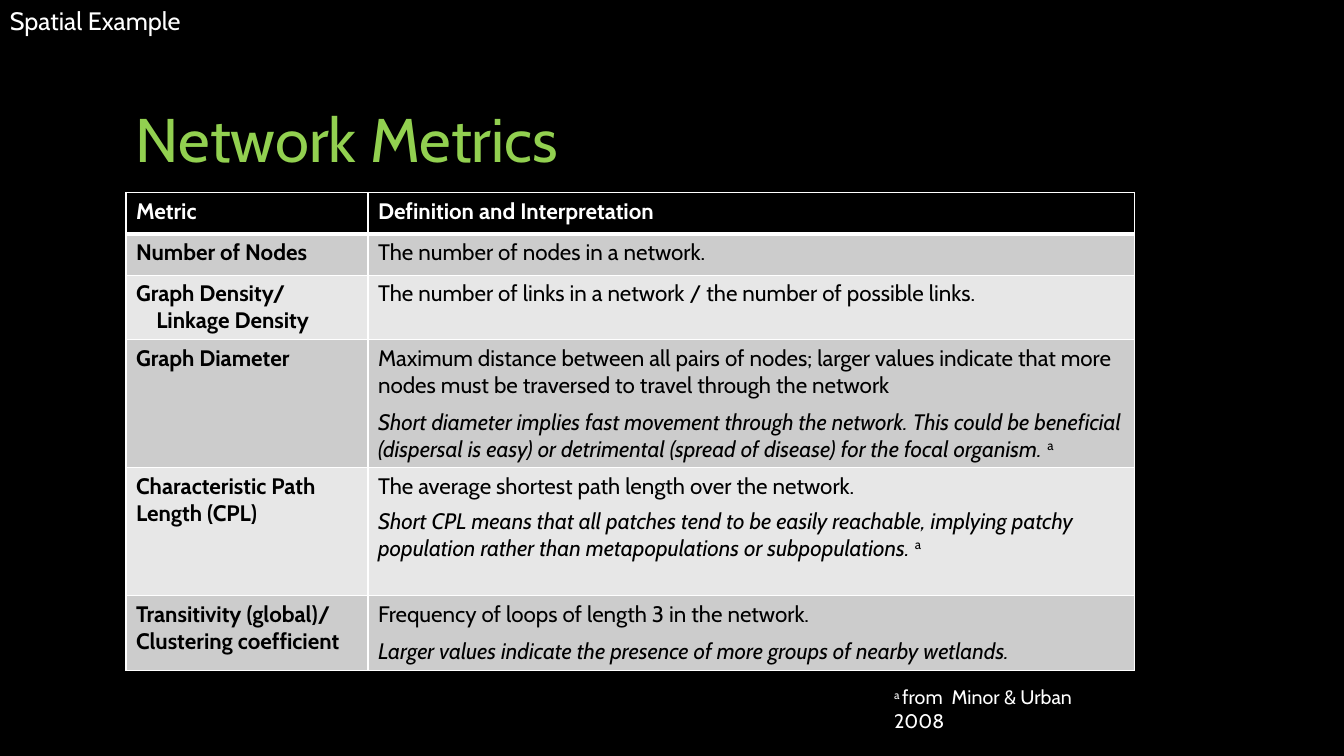
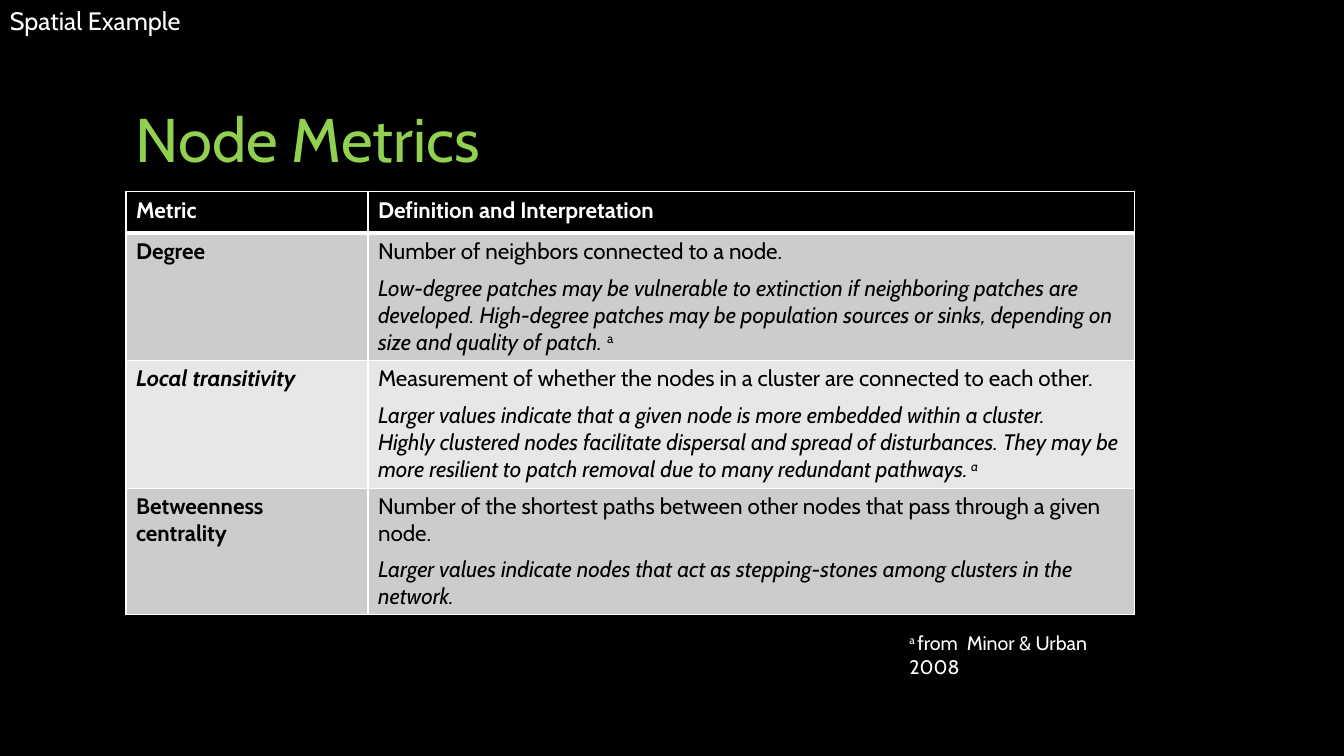
import pptx
import pptx.util
import pptx.dml.color
import pptx.enum.text
import pptx.oxml
import pptx.oxml.ns

Inches, Pt = pptx.util.Inches, pptx.util.Pt

# Content: each row has a height, name lines, definition, italic notes,
# gap after the definition, and an optional mark with its italic flag
FONT = "Cabin"
BLACK, WHITE, GREEN = "000000", "FFFFFF", "92D050"
BANDS = ("CCCCCC", "E7E7E7")
TAG = "Spatial Example"
HEADS = ("Metric", "Definition and Interpretation")
SOURCE = "from  Minor & Urban 2008"
COLS = (2.4, 7.6)
HEAD_H = 0.41
LEFT = 1.25

SLIDES = [
    dict(title="Network Metrics", top=1.91, cite=(8.77, 6.75), rows=[
        dict(high=0.41, name=["Number of Nodes"],
             text="The number of nodes in a network."),
        dict(high=0.64, name=["Graph Density/", "Linkage Density"],
             text="The number of links in a network / the number of possible links."),
        dict(high=1.27, name=["Graph Diameter"], gap=7, mark=("a", False),
             text="Maximum distance between all pairs of nodes; larger values indicate "
                  "that more nodes must be traversed to travel through the network",
             notes=["Short diameter implies fast movement through the network. This could "
                    "be beneficial (dispersal is easy) or detrimental (spread of disease) "
                    "for the focal organism. "]),
        dict(high=1.27, name=["Characteristic Path Length (CPL)"], gap=6, mark=("a", False),
             text="The average shortest path length over the network.",
             notes=["Short CPL means that all patches tend to be easily reachable, implying "
                    "patchy population rather than metapopulations or subpopulations. "]),
        dict(high=0.74, name=["Transitivity (global)/ Clustering coefficient"], gap=7,
             text="Frequency of loops of length 3 in the network.",
             notes=["Larger values indicate the presence of more groups of nearby wetlands."]),
    ]),
    dict(title="Node Metrics", top=1.9, cite=(8.92, 6.21), rows=[
        dict(high=1.26, name=["Degree"], gap=7, mark=("a", False),
             text="Number of neighbors connected to a node.",
             notes=["Low-degree patches may be vulnerable to extinction if neighboring "
                    "patches are developed. High-degree patches may be population sources "
                    "or sinks, depending on size and quality of patch. "]),
        dict(high=1.27, name=["Local transitivity"], slant=True, gap=7, mark=(" a", True),
             text="Measurement of whether the nodes in a cluster are connected to each other.",
             notes=["Larger values indicate that a given node is more embedded within a cluster.",
                    "Highly clustered nodes facilitate dispersal and spread of disturbances. "
                    "They may be",
                    "more resilient to patch removal due to many redundant pathways."]),
        dict(high=1.25, name=["Betweenness centrality"], gap=6,
             text="Number of the shortest paths between other nodes that pass through "
                  "a given node.",
             notes=["Larger values indicate nodes that act as stepping-stones among "
                    "clusters in the network."]),
    ]),
]


def color(code):
    return pptx.dml.color.RGBColor.from_string(code)


def add_run(para, text, size=16, tint=BLACK, bold=False, slant=False, raised=False):
    run = para.add_run()
    run.text = text
    font = run.font
    font.name, font.size, font.bold, font.italic = FONT, Pt(size), bold, slant
    font.color.rgb = color(tint)
    if raised:
        run._r.get_or_add_rPr().set("baseline", "30000")


def add_box(slide, left, top, wide, high):
    frame = slide.shapes.add_textbox(*map(Inches, (left, top, wide, high))).text_frame
    frame.word_wrap = True
    return frame


def next_para(frame):
    first = frame.paragraphs[0]
    return frame.add_paragraph() if first.runs else first


def style_cell(cell, fill, upper=1, lower=1):
    # Borders come before the fill in the cell properties
    props = cell._tc.get_or_add_tcPr()
    for side, width in zip("LRTB", (1, 1, upper, lower)):
        props.append(pptx.oxml.parse_xml(
            f'<a:ln{side} {pptx.oxml.ns.nsdecls("a")} w="{Pt(width)}"><a:solidFill>'
            f'<a:srgbClr val="{WHITE}"/></a:solidFill></a:ln{side}>'))
    cell.fill.solid()
    cell.fill.fore_color.rgb = color(fill)


def fill_name(frame, row):
    for i, line in enumerate(row["name"]):
        para = next_para(frame)
        add_run(para, line, bold=True, slant=row.get("slant", False))
        if i:
            para._p.get_or_add_pPr().set("marL", str(Inches(0.2)))


def fill_text(frame, row):
    para = next_para(frame)
    add_run(para, row["text"])
    if "gap" in row:
        para.space_after = Pt(row["gap"])
    for note in row.get("notes", []):
        para = next_para(frame)
        add_run(para, note, slant=True)
    if "mark" in row:
        mark, slant = row["mark"]
        add_run(para, mark, slant=slant, raised=True)


def add_grid(slide, top, rows):
    highs = [HEAD_H] + [row["high"] for row in rows]
    grid = slide.shapes.add_table(len(highs), len(COLS), Inches(LEFT), Inches(top),
                                  Inches(sum(COLS)), Inches(sum(highs))).table
    for col, wide in zip(grid.columns, COLS):
        col.width = Inches(wide)
    for line, high in zip(grid.rows, highs):
        line.height = Inches(high)
    for i, head in enumerate(HEADS):
        cell = grid.cell(0, i)
        style_cell(cell, BLACK, lower=3)
        add_run(cell.text_frame.paragraphs[0], head, tint=WHITE, bold=True)
    for i, row in enumerate(rows):
        for j, fill in enumerate((fill_name, fill_text)):
            cell = grid.cell(i + 1, j)
            style_cell(cell, BANDS[i % 2], upper=1 if i else 3)
            fill(cell.text_frame, row)


def add_slide(deck, title, top, cite, rows):
    slide = deck.slides.add_slide(deck.slide_layouts[6])
    # Title
    frame = add_box(slide, LEFT, 0.67, 10.8, 1.48)
    frame.vertical_anchor = pptx.enum.text.MSO_ANCHOR.MIDDLE
    frame.paragraphs[0].line_spacing = 0.9
    add_run(frame.paragraphs[0], title, 44, GREEN)
    # Corner tag
    add_run(add_box(slide, 0, 0, 2.87, 0.4).paragraphs[0], TAG, 18, WHITE)
    add_grid(slide, top, rows)
    # Source note
    para = add_box(slide, *cite, 2.4, 0.58).paragraphs[0]
    add_run(para, "a ", 14, WHITE, raised=True)
    add_run(para, SOURCE, 14, WHITE)


def main():
    deck = pptx.Presentation()
    deck.slide_width, deck.slide_height = Inches(13.33), Inches(7.5)
    back = deck.slide_master.background.fill
    back.solid()
    back.fore_color.rgb = color(BLACK)
    for page in SLIDES:
        add_slide(deck, **page)
    deck.save("out.pptx")


if __name__ == "__main__":
    main()
